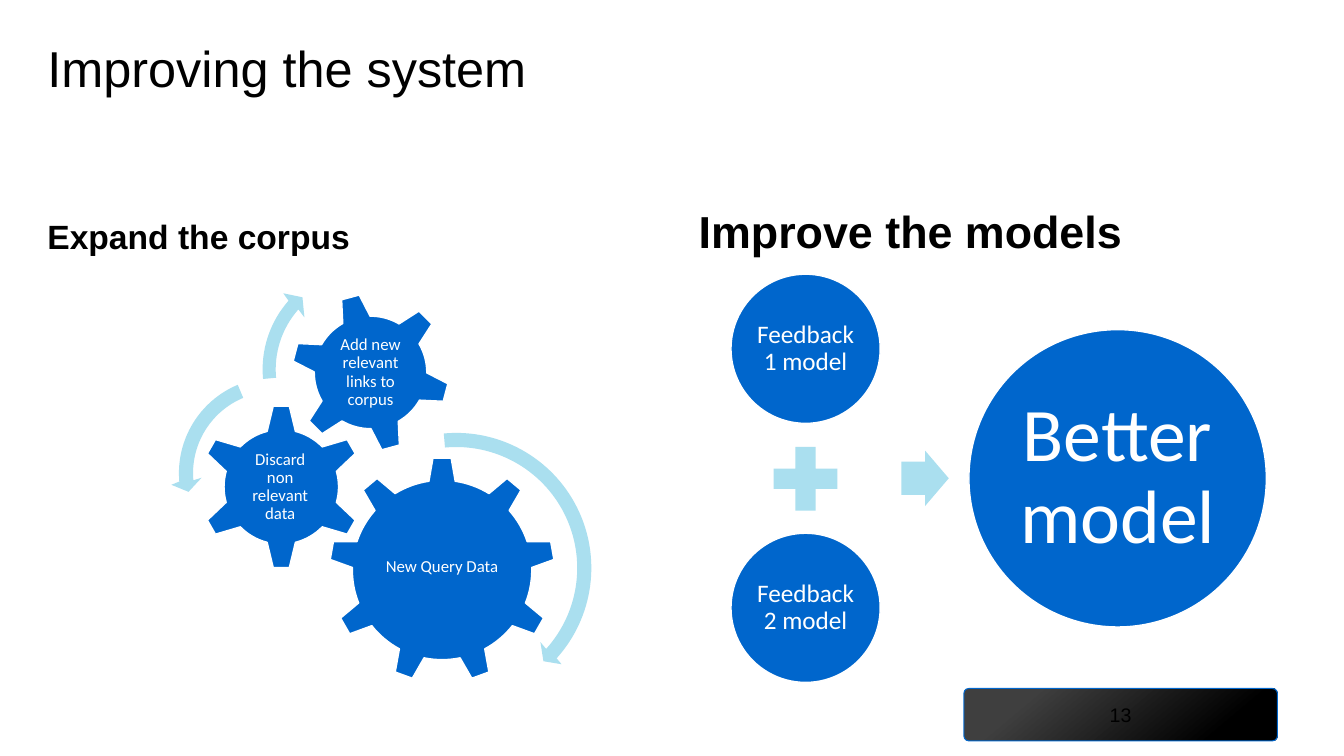
from math import atan2, ceil, cos, degrees, hypot, radians, sin, tan

from lxml import etree
from pptx import Presentation
from pptx import util as u
from pptx.dml.color import RGBColor
from pptx.enum import shapes, text
from pptx.oxml import ns

# Content: boxes are left, top, width, height in inches
TITLE = ("Improving the system", (0.47, 0.47, 12.4, 0.47))
HEADINGS = [
    (1, "Expand the corpus", "heading", (0.47, 1.65, 6, 0.9)),
    (3, "Improve the models", "big_heading", (6.93, 1.66, 5.93, 0.9)),
]
PAGE_NUMBER = ("13", (9.56, 6.83, 3.11, 0.52))

# Circles: text, style, left and top, diameter, inset
CIRCLES = [
    ("Feedback 1 model", "circle", (7.25, 2.72), 1.48, 0.02),
    ("Feedback 2 model", "circle", (7.25, 5.29), 1.48, 0.02),
    ("Better model", "result", (9.61, 3.27), 2.95, 0.07),
]
# Signs between circles: shape, box, adjustments
SIGNS = [
    (shapes.MSO_SHAPE.MATH_PLUS, (7.56, 4.32, 0.86, 0.86), [0.235]),
    (shapes.MSO_SHAPE.RIGHT_ARROW, (8.94, 4.47, 0.47, 0.55), [0.6, 0.5]),
]
# Frames of gears and arrows: left, top, side. Tooth: radius and half width at base, then at tip
GEARS = [
    dict(label="New Query Data", box=(3.72, 5.06, 1.33, 1.14), frame=(3.27, 4.54, 2.23),
         teeth=9, turn=0, base=(0.88, 0.13), tip=(1.11, 0.09)),
    dict(label="Discard non relevant data", box=(2.38, 4.43, 0.8, 0.8), frame=(1.98, 4.02, 1.62),
         teeth=6, turn=0, base=(0.55, 0.14), tip=(0.8, 0.08)),
    dict(label="Add new relevant links to corpus", box=(3.23, 3.25, 0.89, 0.89),
         frame=(2.88, 2.9, 1.59), teeth=6, turn=345, base=(0.54, 0.14), tip=(0.77, 0.09)),
]
# Curved arrows: radii of the edges before and after the head, angles, head corners
CURVED_ARROWS = [
    dict(frame=(3.1, 4.21, 2.85), radii=(1.34, 1.2), angles=(-95.3, 42),
         head=[(5.57, 6.59), (5.39, 6.56), (5.36, 6.37)]),
    dict(frame=(1.69, 3.66, 2.07), radii=(0.81, 0.95), angles=(247.3, 175),
         head=[(2, 4.74), (1.87, 4.88), (1.7, 4.81)]),
    dict(frame=(2.52, 2.55, 2.23), radii=(1.03, 0.9), angles=(174.7, 221.4),
         head=[(2.81, 2.91), (3, 2.95), (3.02, 3.15)]),
]


def rgb(value):
    return RGBColor.from_string(value)


BLACK, WHITE, BLUE, PALE, GREY = map(rgb, ("000000", "FFFFFF", "0066CC", "AADFEF", "3F3F3F"))
THEME = {
    "title": dict(name="Arial", size=u.Pt(36), bold=False, color=BLACK),
    "heading": dict(name="Arial", size=u.Pt(24), bold=True, color=BLACK),
    "big_heading": dict(name="Arial", size=u.Pt(32), bold=True, color=BLACK),
    "page": dict(name="Arial", size=u.Pt(14), color=BLACK),
    "gear": dict(name="Calibri", size=u.Pt(12), color=WHITE),
    "circle": dict(name="Calibri", size=u.Pt(18), color=WHITE),
    "result": dict(name="Calibri", size=u.Pt(54), color=WHITE),
}


def inches(values):
    return [u.Inches(value) for value in values]


def place(shape, box):
    shape.left, shape.top, shape.width, shape.height = inches(box)


def write(shape, words, style, inset=0, align="CENTER", anchor="MIDDLE", spacing=0.9):
    frame = shape.text_frame
    frame.text = words
    frame_format = dict(word_wrap=True, auto_size=text.MSO_AUTO_SIZE.NONE,
                        vertical_anchor=getattr(text.MSO_ANCHOR, anchor))
    for side in ("left", "top", "right", "bottom"):
        frame_format["margin_" + side] = u.Inches(inset)
    for name, value in frame_format.items():
        setattr(frame, name, value)
    paragraph = frame.paragraphs[0]
    paragraph_format = dict(alignment=getattr(text.PP_ALIGN, align),
                            line_spacing=spacing, space_before=u.Pt(0))
    for name, value in paragraph_format.items():
        setattr(paragraph, name, value)
    font = paragraph.runs[0].font
    for name, value in THEME[style].items():
        if name == "color":
            font.color.rgb = value
        else:
            setattr(font, name, value)


def paint(shape, fill, line=None, weight=1):
    shape.shadow.inherit = False
    if fill is not None:
        shape.fill.solid()
        shape.fill.fore_color.rgb = fill
    if line is None:
        shape.line.fill.background()
    else:
        shape.line.color.rgb = line
        shape.line.width = u.Pt(weight)


def middle_of(frame):
    left, top, side = frame
    return left + side / 2, top + side / 2


def polar(centre, radius, angle):
    return centre[0] + radius * cos(radians(angle)), centre[1] + radius * sin(radians(angle))


def arc(centre, radius, start, end):
    """Bezier steps, each with two control points and an end point."""
    pieces = ceil(abs(end - start) / 90)
    sweep = (end - start) / pieces
    reach = 4 / 3 * tan(radians(sweep / 4)) * radius
    steps = []
    for piece in range(pieces):
        a, b = start + piece * sweep, start + (piece + 1) * sweep
        first, last = polar(centre, radius, a), polar(centre, radius, b)
        steps.append([polar(first, reach, a + 90), polar(last, -reach, b + 90), last])
    return steps


def gear_outline(gear):
    centre, pitch = middle_of(gear["frame"]), 360 / gear["teeth"]
    (base, base_half), (tip, tip_half) = gear["base"], gear["tip"]
    body, gap = hypot(base, base_half), degrees(atan2(base_half, base))
    steps = [[polar(centre, body, -90 - gap)]]
    for tooth in range(gear["teeth"]):
        direction = tooth * pitch - 90
        tip_middle = polar(centre, tip, direction)
        steps += [[polar(tip_middle, side * tip_half, direction + 90)] for side in (-1, 1)]
        steps.append([polar(centre, body, direction + gap)])
        steps += arc(centre, body, direction + gap, direction + pitch - gap)
    return steps


def arrow_outline(arrow):
    centre = middle_of(arrow["frame"])
    (first, second), (start, end) = arrow["radii"], arrow["angles"]
    return ([[polar(centre, first, start)]] + arc(centre, first, start, end)
            + [[corner] for corner in arrow["head"]]
            + [[polar(centre, second, end)]] + arc(centre, second, end, start))


def add_outline(slide, frame, steps, fill, line=None):
    left, top, side = inches(frame)
    builder = slide.shapes.build_freeform(left, top)
    builder.add_line_segments([(left + side, top + side)])
    shape = builder.convert_to_shape()
    # Draw straight and curved steps inside the frame
    outline = next(shape.element.iter(ns.qn("a:path")))
    for child in list(outline):
        outline.remove(child)
    for number, points in enumerate(steps):
        tag = "a:cubicBezTo" if len(points) == 3 else "a:lnTo" if number else "a:moveTo"
        step = etree.SubElement(outline, ns.qn(tag))
        for x, y in points:
            etree.SubElement(step, ns.qn("a:pt"), x=str(u.Inches(x) - left),
                             y=str(u.Inches(y) - top))
    etree.SubElement(outline, ns.qn("a:close"))
    paint(shape, fill, line)
    return shape


def main():
    presentation = Presentation()
    presentation.slide_width, presentation.slide_height = inches((13.33, 7.5))
    slide = presentation.slides.add_slide(presentation.slide_layouts[4])

    # Title and headings
    words, box = TITLE
    place(slide.shapes.title, box)
    write(slide.shapes.title, words, "title", align="LEFT")
    placeholders = {shape.placeholder_format.idx: shape for shape in slide.placeholders}
    for index, words, style, box in HEADINGS:
        place(placeholders[index], box)
        write(placeholders[index], words, style, align="LEFT", anchor="BOTTOM")
    for index in (2, 4):
        element = placeholders[index].element
        element.getparent().remove(element)

    # Page number
    words, box = PAGE_NUMBER
    badge = slide.shapes.add_shape(shapes.MSO_SHAPE.ROUNDED_RECTANGLE, *inches(box))
    badge.adjustments[0] = 0.095
    badge.fill.gradient()
    badge.fill.gradient_angle = 310
    for stop, position, color in zip(badge.fill.gradient_stops, (0.2, 0.82), (GREY, BLACK)):
        stop.position, stop.color.rgb = position, color
    paint(badge, None, BLUE, 0.75)
    write(badge, words, "page", spacing=1)

    # Models
    for words, style, corner, size, inset in CIRCLES:
        circle = slide.shapes.add_shape(shapes.MSO_SHAPE.OVAL, *inches((*corner, size, size)))
        paint(circle, BLUE, WHITE)
        write(circle, words, style, inset)
    for kind, box, adjustments in SIGNS:
        sign = slide.shapes.add_shape(kind, *inches(box))
        for number, value in enumerate(adjustments):
            sign.adjustments[number] = value
        paint(sign, PALE)

    # Gears and the arrows around them
    for gear in GEARS:
        wheel = add_outline(slide, gear["frame"], gear_outline(gear), BLUE, WHITE)
        wheel.rotation = gear["turn"]
        label = slide.shapes.add_textbox(*inches(gear["box"]))
        write(label, gear["label"], "gear", 0.02)
    for arrow in CURVED_ARROWS:
        add_outline(slide, arrow["frame"], arrow_outline(arrow), PALE)

    presentation.save("out.pptx")


if __name__ == "__main__":
    main()
